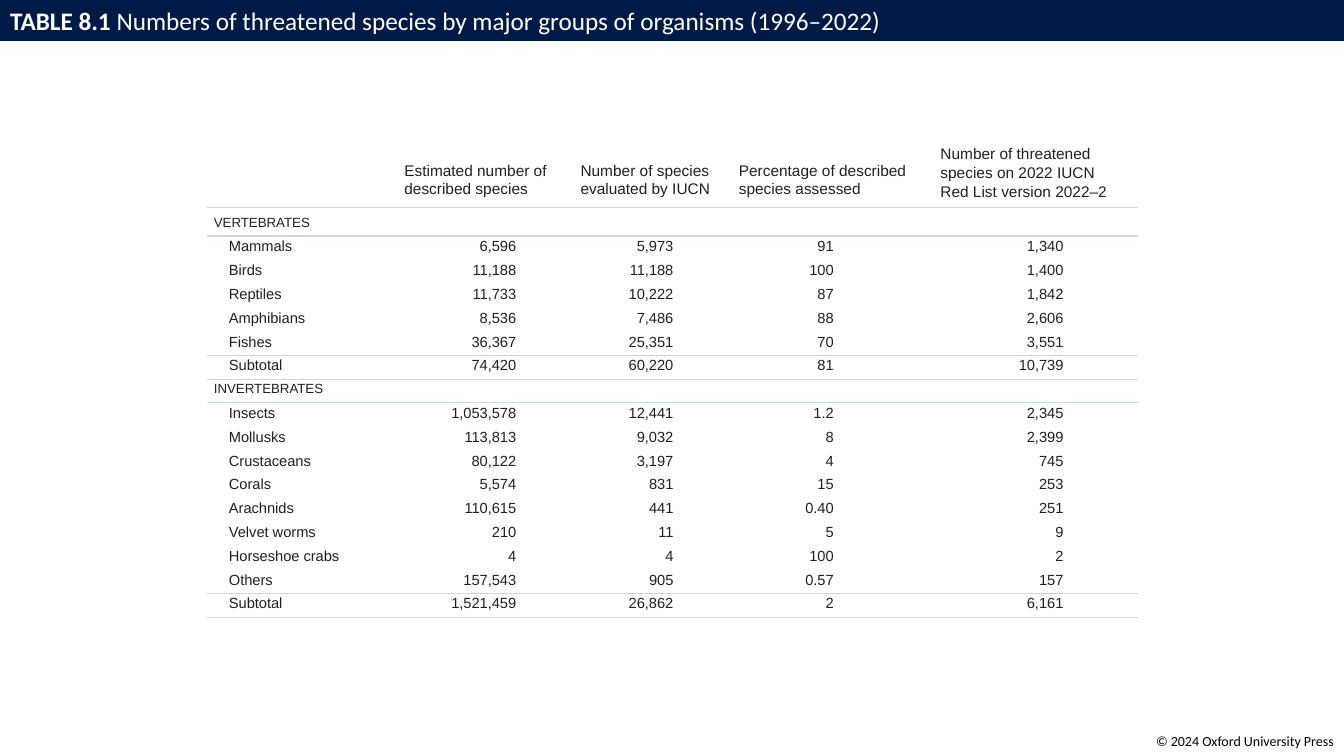
from dataclasses import dataclass

from lxml import etree
from pptx import Presentation
from pptx.dml.color import RGBColor
from pptx.enum.text import MSO_ANCHOR, PP_ALIGN
from pptx.oxml.ns import qn
from pptx.util import Cm, Pt

LEFT, RIGHT = PP_ALIGN.LEFT, PP_ALIGN.RIGHT
TOP, MIDDLE = MSO_ANCHOR.TOP, MSO_ANCHOR.MIDDLE
TITLE_ONLY = 5
NO_GRID = "{2D5ABB26-0587-4C30-8999-92F81FD0307C}"


@dataclass(frozen=True)
class Theme:
    navy: str = "001A47"
    white: str = "FFFFFF"
    black: str = "000000"
    ink: str = "231F20"
    rule: str = "C2DCDF"
    sans: str = "Calibri"
    body: str = "Arial"
    title: float = 18
    head: float = 11
    group: float = 9.5
    data: float = 10.5
    note: float = 10


@dataclass(frozen=True)
class Column:
    """Lengths in cm: lead is the heading's left margin, pad the right margin of numbers."""
    width: float
    head: str = ""
    lead: float = 0
    pad: float = 0
    drop: float = 0.47
    pitch: float | Pt = 1.04
    tail: float = 0


@dataclass(frozen=True)
class Row:
    cells: tuple[str, ...]
    rule: float = 0
    group: bool = False
    height: float = 0.6
    drop: float = 0.06


THEME = Theme()

COLUMNS = (
    Column(4.78),
    Column(4.34, "Estimated number of described species", 0.2, 1.32),
    Column(4.01, "Number of species evaluated by IUCN", 0.3, 1.37),
    Column(5.08, "Percentage of described species assessed", 0.28, 2.41),
    Column(5.26, "Number of threatened species on 2022 IUCN Red List version 2022–2",
           0.28, 1.88, drop=0, pitch=Pt(13.7), tail=0.63),
)

ROWS = (
    Row(("VERTEBRATES",), 1.5, True, 0.71, 0.2),
    Row(("Mammals", "6,596", "5,973", "91", "1,340")),
    Row(("Birds", "11,188", "11,188", "100", "1,400")),
    Row(("Reptiles", "11,733", "10,222", "87", "1,842")),
    Row(("Amphibians", "8,536", "7,486", "88", "2,606")),
    Row(("Fishes", "36,367", "25,351", "70", "3,551"), 0.75),
    Row(("Subtotal", "74,420", "60,220", "81", "10,739"), 0.75),
    Row(("INVERTEBRATES",), 0.75, True),
    Row(("Insects", "1,053,578", "12,441", "1.2", "2,345")),
    Row(("Mollusks", "113,813", "9,032", "8", "2,399")),
    Row(("Crustaceans", "80,122", "3,197", "4", "745")),
    Row(("Corals", "5,574", "831", "15", "253")),
    Row(("Arachnids", "110,615", "441", "0.40", "251")),
    Row(("Velvet worms", "210", "11", "5", "9")),
    Row(("Horseshoe crabs", "4", "4", "100", "2")),
    Row(("Others", "157,543", "905", "0.57", "157"), 0.75),
    Row(("Subtotal", "1,521,459", "26,862", "2", "6,161"), 0.75),
)


def add_run(para, text: str, size: float, color: str, face: str, bold: bool = False) -> None:
    run = para.add_run()
    run.text = text
    font = run.font
    font.size, font.name, font.bold = Pt(size), face, bold
    font.color.rgb = RGBColor.from_string(color)


def add_rule(cell, width: float) -> None:
    """Draw a line along the bottom of the cell."""
    line = etree.SubElement(cell._tc.get_or_add_tcPr(), qn("a:lnB"), w=str(Pt(width)))
    fill = etree.SubElement(line, qn("a:solidFill"))
    etree.SubElement(fill, qn("a:srgbClr"), val=THEME.rule)


def fill_cell(cell, text: str, size: float, rule: float, drop: float,
              lead: float = 0, pad: float = 0, align=LEFT, pitch=None) -> None:
    cell.margin_left, cell.margin_right = Cm(lead), Cm(pad)
    cell.margin_top, cell.margin_bottom = Cm(drop), 0
    cell.vertical_anchor = TOP
    if rule:
        add_rule(cell, rule)
    cell.fill.background()
    para = cell.text_frame.paragraphs[0]
    para.alignment = align
    if pitch:
        para.line_spacing = pitch
    if text:
        add_run(para, text, size, THEME.ink, THEME.body)
    else:
        etree.SubElement(para._p, qn("a:endParaRPr"), sz=str(int(size * 100)))


def add_species(slide) -> None:
    wide = sum(col.width for col in COLUMNS)
    frame = slide.shapes.add_table(len(ROWS) + 1, len(COLUMNS),
                                   Cm(5.21), Cm(3.61), Cm(wide), Cm(11.9))
    table = frame.table
    table.first_row = table.horz_banding = False
    table._tbl.tblPr.find(qn("a:tableStyleId")).text = NO_GRID
    table.rows[0].height = Cm(1.63)
    for c, col in enumerate(COLUMNS):
        table.columns[c].width = Cm(col.width)
        fill_cell(table.cell(0, c), col.head, THEME.head, 0.75, col.drop,
                  col.lead, col.tail, pitch=col.pitch)
    for r, row in enumerate(ROWS, 1):
        table.rows[r].height = Cm(row.height)
        size = THEME.group if row.group else THEME.data
        for c, col in enumerate(COLUMNS):
            text = row.cells[c] if c < len(row.cells) else ""
            lead = 0 if c else 0.18 if row.group else 0.56
            fill_cell(table.cell(r, c), text, size, row.rule, row.drop,
                      lead, col.pad, RIGHT if c else LEFT)


def add_title(slide, width: int) -> None:
    title = slide.shapes.title
    title.left, title.top, title.width, title.height = 0, 0, width, Cm(1.03)
    title.fill.solid()
    title.fill.fore_color.rgb = RGBColor.from_string(THEME.navy)
    title.text_frame.vertical_anchor = MIDDLE
    para = title.text_frame.paragraphs[0]
    para.alignment = LEFT
    add_run(para, "TABLE 8.1 ", THEME.title, THEME.white, THEME.sans, True)
    add_run(para, "Numbers of threatened species by major groups of organisms (1996–2022)",
            THEME.title, THEME.white, THEME.sans)


def add_credit(slide) -> None:
    box = slide.shapes.add_textbox(Cm(28.78), Cm(18.34), Cm(5.08), Cm(0.69))
    box.text_frame.word_wrap = False
    para = box.text_frame.paragraphs[0]
    para.alignment = RIGHT
    add_run(para, "© 2024 Oxford University Press", THEME.note, THEME.black, THEME.sans)


def main() -> None:
    deck = Presentation()
    deck.slide_width, deck.slide_height = Cm(33.87), Cm(19.05)
    slide = deck.slides.add_slide(deck.slide_layouts[TITLE_ONLY])
    add_title(slide, deck.slide_width)
    add_species(slide)
    add_credit(slide)
    deck.save("out.pptx")


if __name__ == "__main__":
    main()
